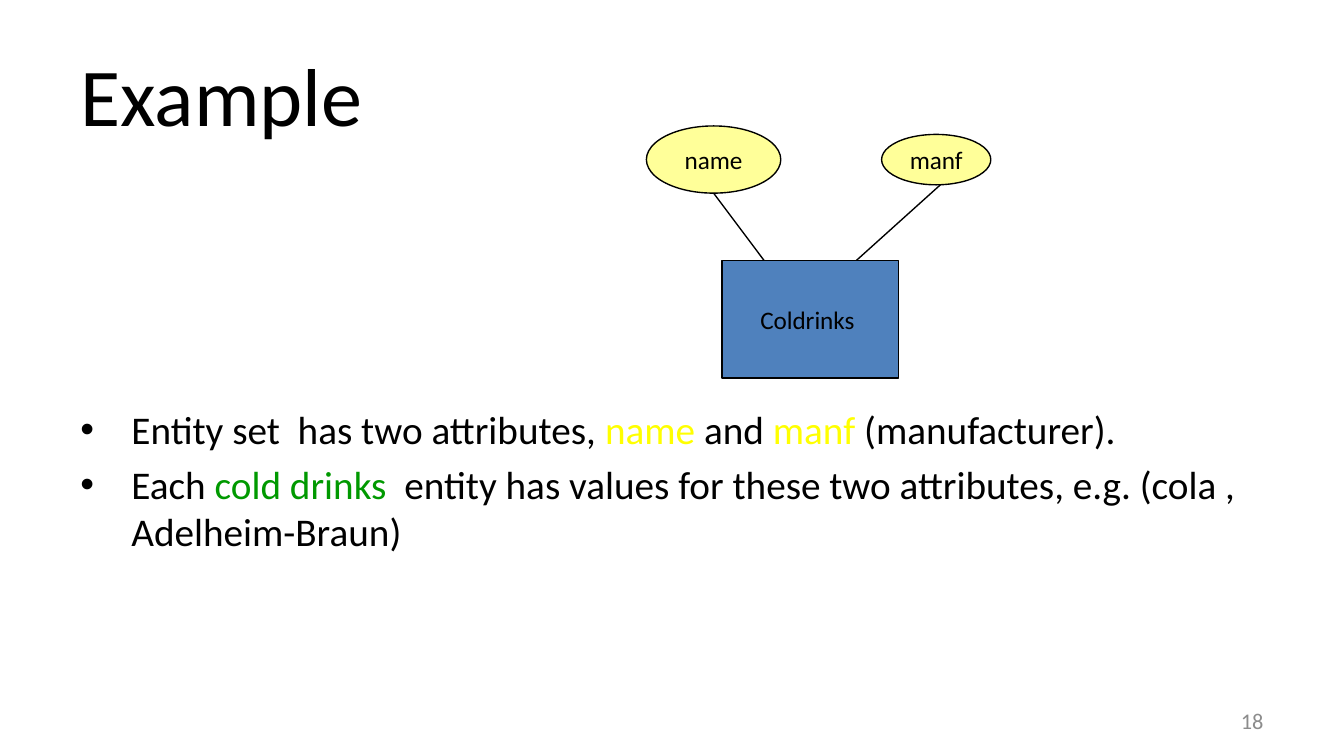
from lxml import etree
from pptx import Presentation
from pptx.dml.color import RGBColor
from pptx.enum.shapes import MSO_CONNECTOR, MSO_SHAPE
from pptx.enum.text import MSO_ANCHOR, PP_ALIGN
from pptx.oxml.ns import qn
from pptx.util import Inches, Pt

LEFT, CENTER, RIGHT = PP_ALIGN.LEFT, PP_ALIGN.CENTER, PP_ALIGN.RIGHT
TOP, MIDDLE = MSO_ANCHOR.TOP, MSO_ANCHOR.MIDDLE
RECTANGLE, OVAL = MSO_SHAPE.RECTANGLE, MSO_SHAPE.OVAL
STRAIGHT = MSO_CONNECTOR.STRAIGHT

FONT = "Calibri"
COLORS = {"ink": "000000", "entity": "4F81BD", "attribute": "FFFF99",
          "yellow": "FFFF00", "green": "009900", "gray": "8C8C8C"}
WIDTH, HEIGHT = 10, 5.625
MARGIN = 0.05 * WIDTH
DIAGRAM_COLUMNS, DIAGRAM_ROWS = 41, 30


def color(name):
    return RGBColor.from_string(COLORS[name])


def write(para, spans, size, ink="ink", align=LEFT):
    """Fill a paragraph with (text, color name) spans, or with one string."""
    para.alignment = align
    if isinstance(spans, str):
        spans = [(spans, ink)]
    for text, name in spans:
        span = para.add_run()
        span.text = text
        span.font.name = FONT
        span.font.size = Pt(size)
        span.font.color.rgb = color(name)


def add_bullet(para, indent):
    props = para._p.get_or_add_pPr()
    props.set("marL", str(Inches(indent)))
    props.set("indent", str(-Inches(indent)))
    etree.SubElement(props, qn("a:buFont")).set("typeface", "Arial")
    etree.SubElement(props, qn("a:buChar")).set("char", "•")


def add_text_box(page, box, anchor):
    frame = page.shapes.add_textbox(*map(Inches, box)).text_frame
    frame.word_wrap = True
    frame.vertical_anchor = anchor
    return frame


def add_title(page, box, text):
    title = page.shapes.title
    title.left, title.top, title.width, title.height = map(Inches, box)
    title.text_frame.vertical_anchor = MIDDLE
    write(title.text_frame.paragraphs[0], text, 44)


def add_diagram(page, box):
    """Entity with its two attributes, on a grid inside the box."""
    left, top, width, height = box

    def point(column, row):
        return (Inches(left + width * column / DIAGRAM_COLUMNS),
                Inches(top + height * row / DIAGRAM_ROWS))

    def add_node(kind, text, fill, column, row, columns, rows):
        x, y = point(column, row)
        right, bottom = point(column + columns, row + rows)
        node = page.shapes.add_shape(kind, x, y, right - x, bottom - y)
        node.shadow.inherit = False
        node.fill.solid()
        node.fill.fore_color.rgb = color(fill)
        node.line.color.rgb = color("ink")
        node.line.width = Pt(0.75)
        frame = node.text_frame
        frame.word_wrap = False
        frame.vertical_anchor = MIDDLE
        write(frame.paragraphs[0], text, 13.5, align=CENTER)

    def add_link(start, end):
        link = page.shapes.add_connector(STRAIGHT, *point(*start), *point(*end))
        link.line.color.rgb = color("ink")
        link.line.width = Pt(0.75)
        etree.SubElement(link._element.spPr, qn("a:effectLst"))

    add_node(RECTANGLE, "Coldrinks ", "entity", 9, 16, 21, 14)
    add_node(OVAL, "name", "attribute", 0, 0, 16, 8)
    add_node(OVAL, "manf", "attribute", 28, 1, 13, 6)
    add_link((8, 8), (14, 16))
    add_link((35, 7), (25, 16))


def add_bullets(page, box, items):
    frame = add_text_box(page, box, TOP)
    for index, spans in enumerate(items):
        para = frame.add_paragraph() if index else frame.paragraphs[0]
        write(para, spans, 21)
        if index:
            para.space_before = Pt(4.2)
        add_bullet(para, 0.38)


def add_page_number(page, box, number):
    frame = add_text_box(page, box, MIDDLE)
    write(frame.paragraphs[0], number, 12, ink="gray", align=RIGHT)


def main():
    deck = Presentation()
    deck.slide_width, deck.slide_height = Inches(WIDTH), Inches(HEIGHT)
    page = deck.slides.add_slide(deck.slide_layouts[5])
    content = WIDTH - 2 * MARGIN

    # Heading
    add_title(page, (MARGIN, 0.04 * HEIGHT, content, HEIGHT / 6), "Example")

    # Entity diagram, one sixteenth of an inch to the grid step
    add_diagram(page, (4.81, HEIGHT / 6, DIAGRAM_COLUMNS / 16, DIAGRAM_ROWS / 16))

    # Explanation
    add_bullets(page, (MARGIN, 2.97, content, 2.05), [
        [("Entity set  has two attributes, ", "ink"), ("name", "yellow"),
         (" and ", "ink"), ("manf", "yellow"), (" (manufacturer).", "ink")],
        [("Each ", "ink"), ("cold drinks ", "green"),
         (" entity has values for these two attributes, e.g. (cola , "
          "Adelheim-Braun)", "ink")],
    ])

    # Footer
    add_page_number(page, (WIDTH - MARGIN - 2.33, 5.21, 2.33, 0.3), "18")
    deck.save("out.pptx")


if __name__ == "__main__":
    main()
